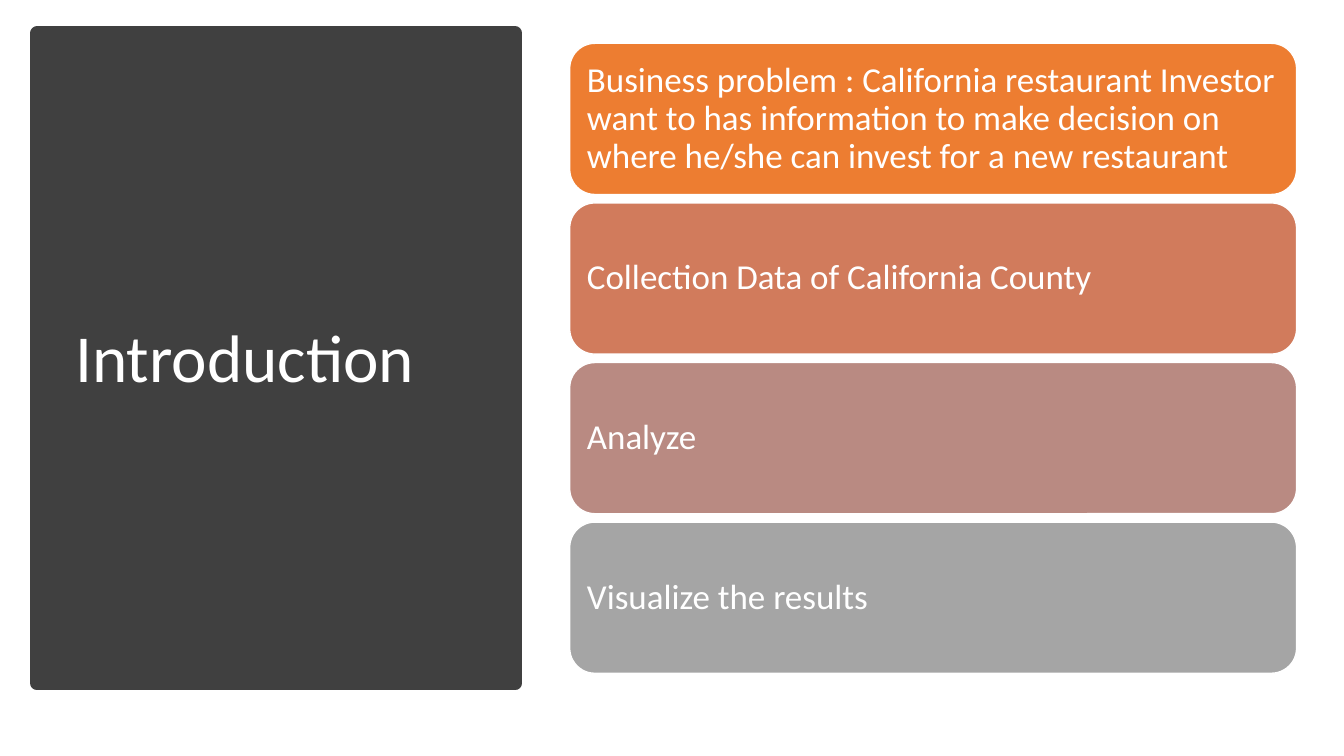
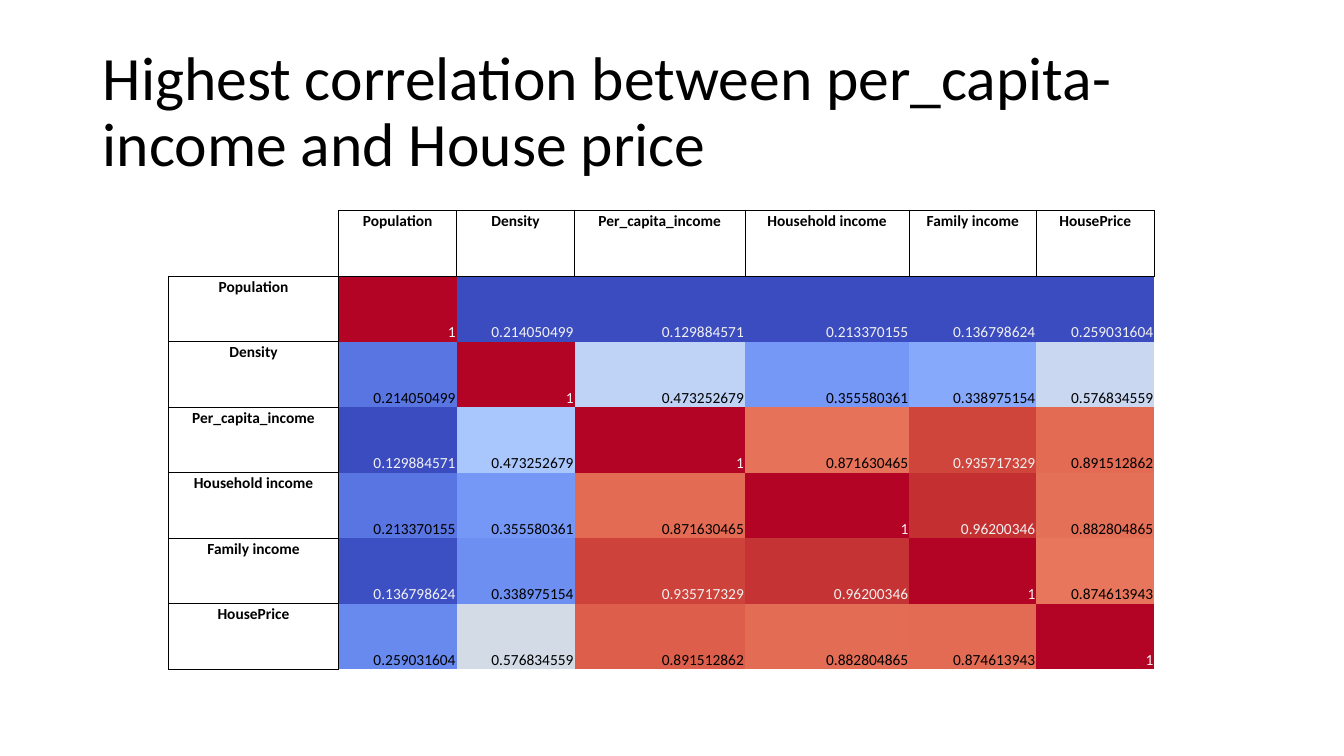
import pptx
import pptx.util
import pptx.dml.color
import pptx.enum.shapes
import pptx.enum.text
import pptx.oxml
import pptx.oxml.ns
import lxml.etree
from dataclasses import dataclass

Inches = pptx.util.Inches
Pt = pptx.util.Pt
Align = pptx.enum.text.PP_ALIGN
Anchor = pptx.enum.text.MSO_ANCHOR
Shape = pptx.enum.shapes.MSO_SHAPE
rgb = pptx.dml.color.RGBColor.from_string


@dataclass(frozen=True)
class Theme:
    font: str = "Calibri"
    white: str = "FFFFFF"
    black: str = "000000"
    pale: str = "F1F1F1"
    panel: str = "404040"
    steps: tuple = ("ED7D31", "D17B5C", "B98A82", "A5A5A5")
    panel_title: int = 48
    title: int = 44
    step: int = 25
    table: int = 11


theme = Theme()


def write(frame, text, size, color, bold=False, align=Align.LEFT, spacing=None):
    frame.word_wrap = True
    para = frame.paragraphs[0]
    para.alignment = align
    para.line_spacing = spacing
    span = para.add_run()
    span.text = text
    span.font.name = theme.font
    span.font.size = Pt(size)
    span.font.bold = bold
    span.font.color.rgb = rgb(color)


def set_borders(cell, drawn):
    properties = cell._tc.get_or_add_tcPr()
    for side in "LRTB":
        line = lxml.etree.SubElement(
            properties, pptx.oxml.ns.qn("a:ln" + side), w=str(Pt(0.5)))
        if side in drawn:
            fill = lxml.etree.SubElement(line, pptx.oxml.ns.qn("a:solidFill"))
            lxml.etree.SubElement(fill, pptx.oxml.ns.qn("a:srgbClr"), val=theme.black)
        else:
            lxml.etree.SubElement(line, pptx.oxml.ns.qn("a:noFill"))


deck = pptx.Presentation()
deck.slide_width = Inches(13.33)
deck.slide_height = Inches(7.5)
intro, correlation = [deck.slides.add_slide(deck.slide_layouts[6]) for _ in range(2)]

# Introduction: dark panel
panel = intro.shapes.add_shape(
    Shape.RECTANGLE, Inches(0.37), Inches(0.33), Inches(4.74), Inches(6.45))
panel.shadow.inherit = False
panel.fill.solid()
panel.fill.fore_color.rgb = rgb(theme.panel)
panel.line.color.rgb = rgb(theme.panel)
panel.line.width = Pt(10)

# Titles of both slides
titles = [
    (intro, "Introduction", (0.65, 0.7, 4.16, 5.75), theme.panel_title, theme.white),
    (correlation, "Highest correlation between per_capita-income and House price",
     (0.92, 0.4, 11.5, 1.45), theme.title, theme.black),
]
for page, text, place, size, color in titles:
    box = page.shapes.add_textbox(*map(Inches, place))
    box.text_frame.vertical_anchor = Anchor.MIDDLE
    write(box.text_frame, text, size, color, spacing=0.9)

# Introduction: stacked steps
steps = [
    "Business problem : California restaurant Investor want to has information "
    "to make decision on where he/she can invest for a new restaurant",
    "Collection Data of California County",
    "Analyze",
    "Visualize the results",
]
step_top, step_height, step_bottom = 0.43, 1.5, 6.68
step_pitch = (step_bottom - step_height - step_top) / (len(steps) - 1)
for index, (text, color) in enumerate(zip(steps, theme.steps)):
    card = intro.shapes.add_shape(
        Shape.ROUNDED_RECTANGLE, Inches(5.65), Inches(step_top + index * step_pitch),
        Inches(7.21), Inches(step_height))
    card.shadow.inherit = False
    card.fill.solid()
    card.fill.fore_color.rgb = rgb(color)
    card.line.color.rgb = rgb(theme.white)
    card.line.width = Pt(1)
    frame = card.text_frame
    frame.margin_left = frame.margin_right = Inches(0.1)
    frame.margin_top = frame.margin_bottom = Inches(0.1)
    frame.vertical_anchor = Anchor.MIDDLE
    write(frame, text, theme.step, theme.white, spacing=0.9)

# Correlation matrix: data and heat colours
measures = ["Population", "Density", "Per_capita_income",
            "Household income", "Family income", "HousePrice"]
values = [
    ["1", "0.214050499", "0.129884571", "0.213370155", "0.136798624", "0.259031604"],
    ["0.214050499", "1", "0.473252679", "0.355580361", "0.338975154", "0.576834559"],
    ["0.129884571", "0.473252679", "1", "0.871630465", "0.935717329", "0.891512862"],
    ["0.213370155", "0.355580361", "0.871630465", "1", "0.96200346", "0.882804865"],
    ["0.136798624", "0.338975154", "0.935717329", "0.96200346", "1", "0.874613943"],
    ["0.259031604", "0.576834559", "0.891512862", "0.882804865", "0.874613943", "1"],
]
heat = [
    ["B40426", "3B4CC0", "3B4CC0", "3B4CC0", "3B4CC0", "3B4CC0"],
    ["5875E1", "B40426", "BFD3F6", "7597F6", "86A9FC", "C9D7F0"],
    ["3B4CC0", "A9C6FD", "B40426", "E67259", "CF453C", "E36B54"],
    ["5875E1", "7597F6", "E36B54", "B40426", "C43032", "E57058"],
    ["3D50C3", "6C8FF1", "CD423B", "C53334", "B40426", "E8765C"],
    ["688AEF", "D3DBE7", "DD5F4B", "E36C55", "E36B54", "B40426"],
]

# Correlation matrix: table
widths = [1.69, 1.17, 1.17, 1.69, 1.63, 1.26, 1.17]
row_height = 0.65
count = len(measures) + 1
table = correlation.shapes.add_table(
    count, count, Inches(1.67), Inches(2.09),
    Inches(sum(widths)), Inches(row_height * count)).table
table.first_row = table.horz_banding = False
for column, width in zip(table.columns, widths):
    column.width = Inches(width)
for row in range(count):
    table.rows[row].height = Inches(row_height)
    for column in range(count):
        cell = table.cell(row, column)
        cell.margin_left = cell.margin_right = cell.margin_top = Inches(0.01)
        cell.margin_bottom = 0
        if row and column:
            set_borders(cell, "L" * (column == 1) + "T" * (row == 1))
            color = rgb(heat[row - 1][column - 1])
            cell.fill.solid()
            cell.fill.fore_color.rgb = color
            cell.vertical_anchor = Anchor.BOTTOM
            # Dark cells carry pale text
            brightness = 0.3 * color[0] + 0.59 * color[1] + 0.11 * color[2]
            ink = theme.pale if brightness < 115 else theme.black
            write(cell.text_frame, values[row - 1][column - 1], theme.table, ink,
                  align=Align.RIGHT)
        else:
            set_borders(cell, "LRTB" if row or column else "RB")
            cell.fill.background()
            if row or column:
                write(cell.text_frame, measures[max(row, column) - 1], theme.table,
                      theme.black, bold=True, align=Align.CENTER)

deck.save("out.pptx")
